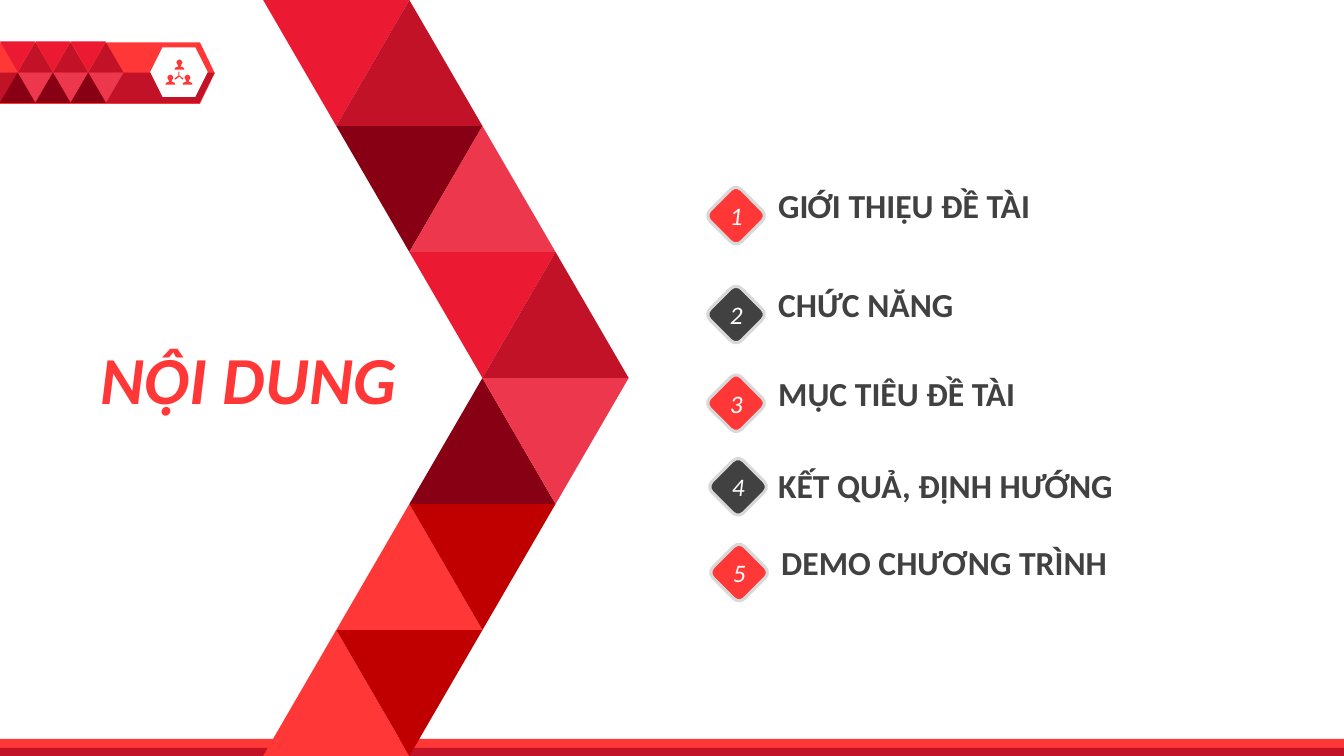
from pptx import Presentation
from pptx.dml.color import RGBColor
from pptx.enum import shapes, text
from pptx.util import Inches, Pt

BRIGHT = RGBColor(0xFF, 0x37, 0x37)
CRIMSON = RGBColor(0xC2, 0x12, 0x27)
SCARLET = RGBColor(0xEB, 0x19, 0x32)
ROSE = RGBColor(0xED, 0x37, 0x4D)
MAROON = RGBColor(0x88, 0x00, 0x14)
DEEP = RGBColor(0xC0, 0x00, 0x00)
DARK = RGBColor(0x41, 0x41, 0x41)
SILVER = RGBColor(0xD9, 0xD9, 0xD9)
WHITE = RGBColor(0xFF, 0xFF, 0xFF)
FONT = "Calibri"
SHAPE = shapes.MSO_SHAPE

# label, label left and top, diamond left and top
AGENDA = [
    ("GIỚI THIỆU ĐỀ TÀI", 7.62, 1.79, 7.08, 1.92),
    ("CHỨC NĂNG", 7.62, 2.77, 7.08, 2.9),
    ("MỤC TIÊU ĐỀ TÀI", 7.62, 3.65, 7.08, 3.78),
    ("KẾT QUẢ, ĐỊNH HƯỚNG", 7.62, 4.56, 7.1, 4.61),
    ("DEMO CHƯƠNG TRÌNH", 7.65, 5.33, 7.11, 5.46),
]
# left and right triangle of each chevron row, from top to bottom
CHEVRON_ROWS = [
    (SCARLET, CRIMSON), (MAROON, ROSE), (SCARLET, CRIMSON),
    (MAROON, ROSE), (BRIGHT, DEEP), (BRIGHT, DEEP),
]
# right half of a person's outline, from the top of the head down
PERSON_HALF = [(0, 0), (0.02, 0.01), (0.03, 0.03), (0.02, 0.05),
               (0.01, 0.07), (0.04, 0.08), (0.05, 0.1)]


def paint(shape, color):
    shape.shadow.inherit = False
    shape.fill.solid()
    shape.fill.fore_color.rgb = color
    shape.line.fill.background()
    return shape


def add_block(page, kind, left, top, width, height, color):
    shape = page.shapes.add_shape(
        kind, Inches(left), Inches(top), Inches(width), Inches(height))
    return paint(shape, color)


def add_triangle(page, left, top, width, height, color, down):
    triangle = add_block(page, SHAPE.ISOSCELES_TRIANGLE,
                         left, top, width, height, color)
    triangle.rotation = 180 if down else 0


def add_outline(page, points, color):
    corners = [(Inches(x), Inches(y)) for x, y in points]
    builder = page.shapes.build_freeform(*corners[0])
    builder.add_line_segments(corners[1:], close=True)
    paint(builder.convert_to_shape(), color)


def write(box, words, size, color, bold=False, italic=False,
          align=text.PP_ALIGN.LEFT, wrap=True):
    frame = box.text_frame
    frame.text = words
    frame.word_wrap = wrap
    frame.auto_size = text.MSO_AUTO_SIZE.SHAPE_TO_FIT_TEXT
    frame.vertical_anchor = text.MSO_ANCHOR.TOP
    paragraph = frame.paragraphs[0]
    paragraph.alignment = align
    font = paragraph.runs[0].font
    font.name, font.size = FONT, Pt(size)
    font.bold, font.italic = bold, italic
    font.color.rgb = color


def add_label(page, left, top, width, height, words, size, color, **style):
    box = page.shapes.add_textbox(
        Inches(left), Inches(top), Inches(width), Inches(height))
    write(box, words, size, color, **style)


def add_team_icon(page):
    for center, top in [(1.78, 0.59), (1.69, 0.74), (1.86, 0.74)]:
        right = [(center + x, top + y) for x, y in PERSON_HALF]
        left = [(center - x, top + y) for x, y in PERSON_HALF[:0:-1]]
        add_outline(page, right + left, BRIGHT)
    # three-way link between the people
    add_outline(page, [(1.77, 0.71), (1.78, 0.71), (1.78, 0.75), (1.82, 0.78),
                       (1.81, 0.79), (1.78, 0.76), (1.74, 0.79), (1.73, 0.78),
                       (1.77, 0.75)], BRIGHT)


def add_banner(page):
    plate = add_block(page, SHAPE.PENTAGON, 0, 0.42, 2.13, 0.61, BRIGHT)
    plate.adjustments[0] = 0.24
    add_outline(page, [(0, 0.72), (2.13, 0.72), (1.98, 1.02), (0, 1.02)], CRIMSON)
    add_block(page, SHAPE.HEXAGON, 1.49, 0.47, 0.57, 0.49, WHITE)
    add_team_icon(page)
    width, height = 0.35, 0.3
    for column in range(3):
        left = column * width
        middle = left + width / 2
        add_triangle(page, left, 0.41, width, height, SCARLET, True)
        add_triangle(page, middle, 0.42, width, height, CRIMSON, False)
        add_triangle(page, middle, 0.72, width, height, ROSE, True)
        add_triangle(page, left, 0.72, width, height, MAROON, False)


def add_chevron(page):
    width, height = 1.45, 1.25
    for row, colors in enumerate(CHEVRON_ROWS):
        upper = row < 3
        first = min(row, 5 - row)
        for side, color in enumerate(colors):
            left = 2.61 + (first + side) * width / 2
            add_triangle(page, left, row * height, width, height, color,
                         down=upper == (side == 0))


def add_agenda_item(page, number, item):
    words, label_left, label_top, left, top = item
    add_label(page, label_left, label_top, 3.8, 0.5, words, 24, DARK, bold=True)
    diamond = add_block(page, SHAPE.ROUNDED_RECTANGLE, left, top, 0.44, 0.44,
                        BRIGHT if number % 2 else DARK)
    diamond.rotation = 45
    diamond.line.color.rgb = SILVER
    diamond.line.width = Pt(2.25)
    add_label(page, left + 0.06, top + 0.02, 0.32, 0.4, str(number), 18, WHITE,
              italic=True, align=text.PP_ALIGN.CENTER, wrap=False)


def main():
    deck = Presentation()
    deck.slide_width, deck.slide_height = Inches(13.33), Inches(7.5)
    page = deck.slides.add_slide(deck.slide_layouts[5])

    # Title
    title = page.shapes.title
    title.left, title.top = Inches(0.9), Inches(3.3)
    title.width, title.height = Inches(4.12), Inches(0.9)
    write(title, "NỘI DUNG", 48, BRIGHT, bold=True, italic=True)

    # Banner, footer stripes and chevron
    add_banner(page)
    add_block(page, SHAPE.RECTANGLE, 0, 7.33, 13.33, 0.16, BRIGHT)
    add_block(page, SHAPE.RECTANGLE, 0, 7.42, 13.33, 0.08, CRIMSON)
    add_chevron(page)

    # Agenda
    for number, item in enumerate(AGENDA, start=1):
        add_agenda_item(page, number, item)

    deck.save("out.pptx")


if __name__ == "__main__":
    main()
